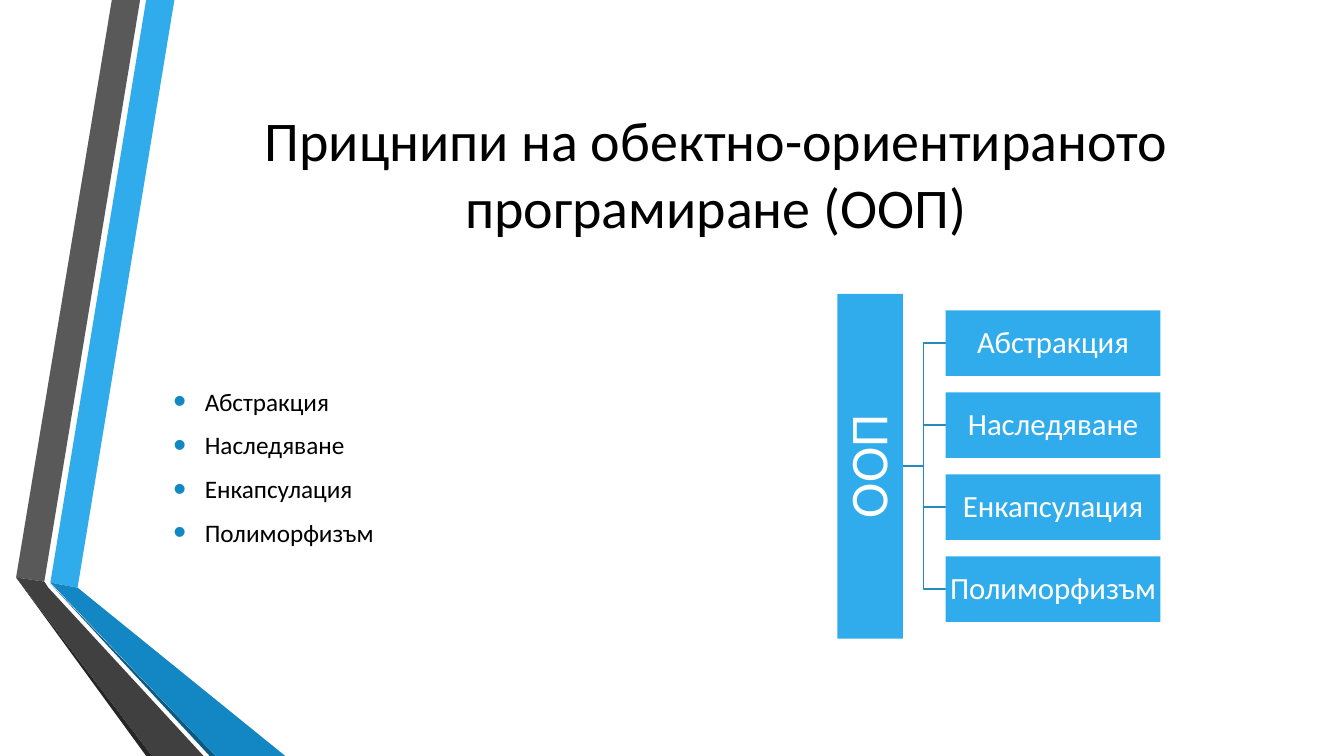
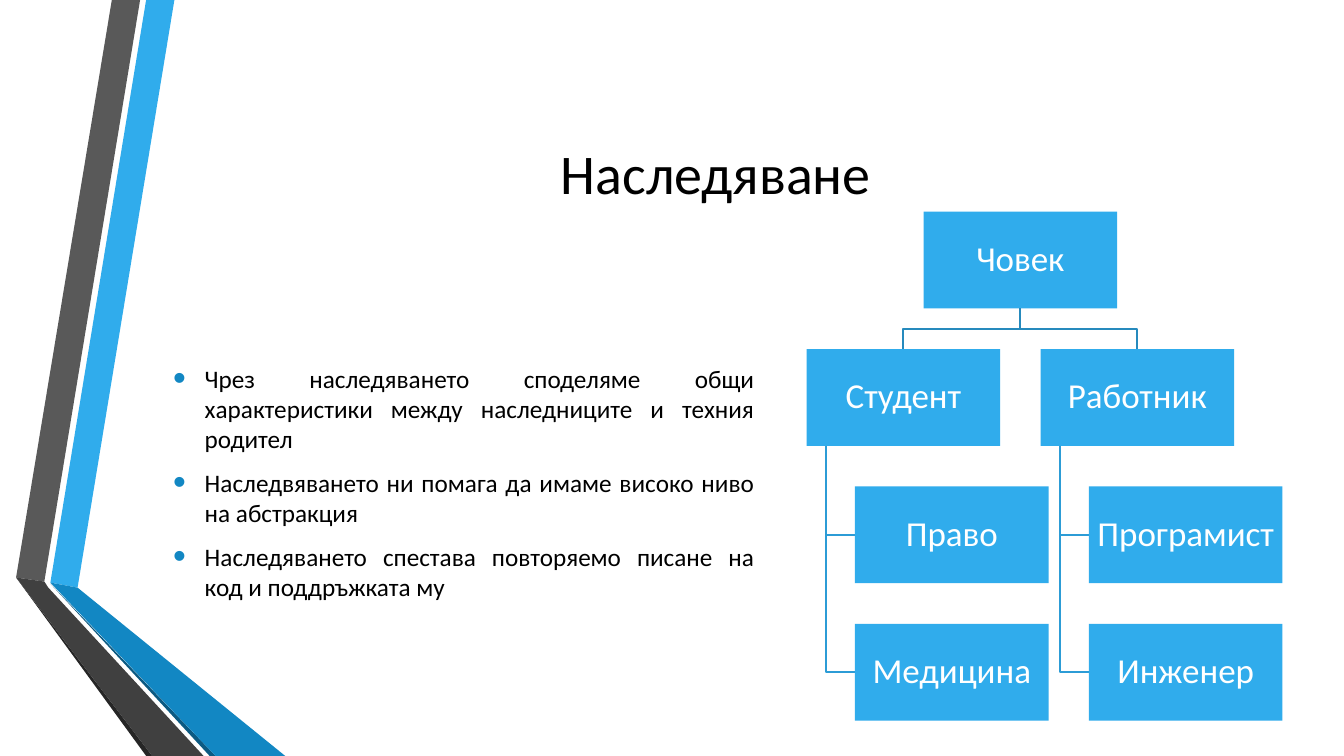
"""Build two slides on the principles of object-oriented programming."""
from lxml import etree
from pptx import Presentation
from pptx import util as u
from pptx.dml.color import RGBColor
from pptx.enum import shapes, text
from pptx.oxml import ns

BLUE, DEEP, BLACK, WHITE = "30ACEC", "1287C3", "000000", "FFFFFF"
DARK, LIGHT = "268ABD", "2C9CD6"
MID, JUST = text.PP_ALIGN.CENTER, text.PP_ALIGN.JUSTIFY
hue = RGBColor.from_string

BANDS = [
    (BLUE, [(0.5, 5.78), (0.77, 5.83), (1.73, 0), (1.45, 0)]),
    ("595959", [(1.39, 0), (1.11, 0), (0.16, 5.73), (0.44, 5.77)]),
    ("262626", [(0.16, 5.73), (1.45, 7.5), (1.51, 7.5)]),
    ("0C5A82", [(0.5, 5.79), (2.08, 7.5), (2.14, 7.5)]),
    (DEEP, [(0.5, 5.78), (2.14, 7.5), (2.83, 7.5), (0.77, 5.83)]),
    ("404040", [(2.02, 7.5), (0.48, 5.83), (0.44, 5.77), (0.16, 5.73), (1.51, 7.5)]),
]
TERMS = ["Абстракция", "Наследяване", "Енкапсулация", "Полиморфизъм"]
GAINS = [
    "Чрез наследяването споделяме общи характеристики между наследниците и техния родител",
    "Наследвяването ни помага да имаме високо ниво на абстракция",
    "Наследяването спестава повторяемо писане на код и поддръжката му",
]
PAGES = [
    ("Прицнипи на обектно-ориентираното програмиране (ООП)", TERMS, (5.35, 3.42), None),
    ("Наследяване", GAINS, (5.96, 3.73), JUST),
]


def write(page, area, lines, size, color, align, pad=None, fill=None):
    """Add a text box, or a filled box when a fill is given."""
    area = [u.Inches(n) for n in area]
    if fill:
        box = page.shapes.add_shape(shapes.MSO_SHAPE.RECTANGLE, *area)
        box.shadow.inherit = False
        box.fill.solid()
        box.fill.fore_color.rgb = hue(fill)
        box.line.fill.background()
    else:
        box = page.shapes.add_textbox(*area)
    frame = box.text_frame
    form = {"word_wrap": True, "vertical_anchor": text.MSO_ANCHOR.MIDDLE}
    if pad is not None:
        for side in ("left", "right", "top", "bottom"):
            form["margin_" + side] = u.Inches(pad)
    for key, val in form.items():
        setattr(frame, key, val)
    frame.text = "\n".join(lines)
    for para in frame.paragraphs:
        para.alignment = align
        para.line_spacing = 0.9 if fill else None
        font = para.runs[0].font
        for key, val in {"name": "Calibri", "size": u.Pt(size)}.items():
            setattr(font, key, val)
        font.color.rgb = hue(color)
    return box


def trace(page, color, spots, close=False):
    """Draw a filled outline when closed, else a bent line."""
    spots = [(u.Inches(x), u.Inches(y)) for x, y in spots]
    pen = page.shapes.build_freeform(*spots[0])
    pen.add_line_segments(spots[1:], close=close)
    form = pen.convert_to_shape()
    form.shadow.inherit = False
    ink, bare = (form.fill, form.line.fill) if close else (form.line.fill, form.fill)
    ink.solid()
    ink.fore_color.rgb = hue(color)
    bare.background()
    if not close:
        form.line.width = u.Pt(1.25)


deck = Presentation()
deck.slide_width, deck.slide_height = u.Inches(13.33), u.Inches(7.5)

for title, points, (wide, high), align in PAGES:
    page = deck.slides.add_slide(deck.slide_layouts[6])
    for color, spots in BANDS:
        trace(page, color, spots, True)
    write(page, (1.62, 0.75, 10.96, 1.92), [title], 40, BLACK, MID)
    body = write(page, (1.62, 2.92, wide, high), points, 18, BLACK, align)
    for para in body.text_frame.paragraphs:
        para.space_before, para.space_after = u.Pt(3.6), u.Pt(6)
        props = para._p.get_or_add_pPr()
        props.set("marL", str(u.Pt(22.5)))
        props.set("indent", str(-u.Pt(22.5)))
        tint = etree.SubElement(props, ns.qn("a:buClr"))
        etree.SubElement(tint, ns.qn("a:srgbClr"), val=DEEP)
        etree.SubElement(props, ns.qn("a:buSzPct"), val="145000")
        etree.SubElement(props, ns.qn("a:buFont"), typeface="Arial")
        etree.SubElement(props, ns.qn("a:buChar"), char="•")

first, second = deck.slides

left, stem, top, step, tall = 9.38, 9.16, 3.08, 2.44 / 3, 0.65
mid = top + (3 * step + tall) / 2
for row in reversed(range(len(TERMS))):
    axis = top + row * step + tall / 2
    trace(first, DARK, [(8.95, mid), (stem, mid), (stem, axis), (left, axis)])
root = write(first, (6.92, 4.3, 3.42, tall), ["ООП"], 38, WHITE, MID, 0.03, BLUE)
root.rotation = 270
for row, term in enumerate(TERMS):
    write(first, (left, top + row * step, 2.13, tall), [term], 22, WHITE, MID, 0.02, BLUE)

TREE = [("Студент", ["Право", "Медицина"]), ("Работник", ["Програмист", "Инженер"])]
left, top, wide, tall, step, span = 8, 2.1, 1.92, 0.96, 4.09 / 3, 2.32
head = left + (span + wide) / 2
base = top + tall
fork = (base + top + step) / 2
write(second, (head - wide / 2, top, wide, tall), ["Човек"], 25, WHITE, MID, 0.02, BLUE)
for col, (name, kids) in enumerate(TREE):
    x, y = left + col * span, top + step
    stem, heart = x + 0.19, x + wide / 2
    trace(second, DARK, [(head, base), (head, fork), (heart, fork), (heart, y)])
    write(second, (x, y, wide, tall), [name], 25, WHITE, MID, 0.02, BLUE)
    for row, kid in enumerate(kids, 1):
        edge, level = x + 0.48, y + row * step
        axis = level + tall / 2
        trace(second, LIGHT, [(stem, y + tall), (stem, axis), (edge, axis)])
        write(second, (edge, level, wide, tall), [kid], 25, WHITE, MID, 0.02, BLUE)

deck.save("out.pptx")
